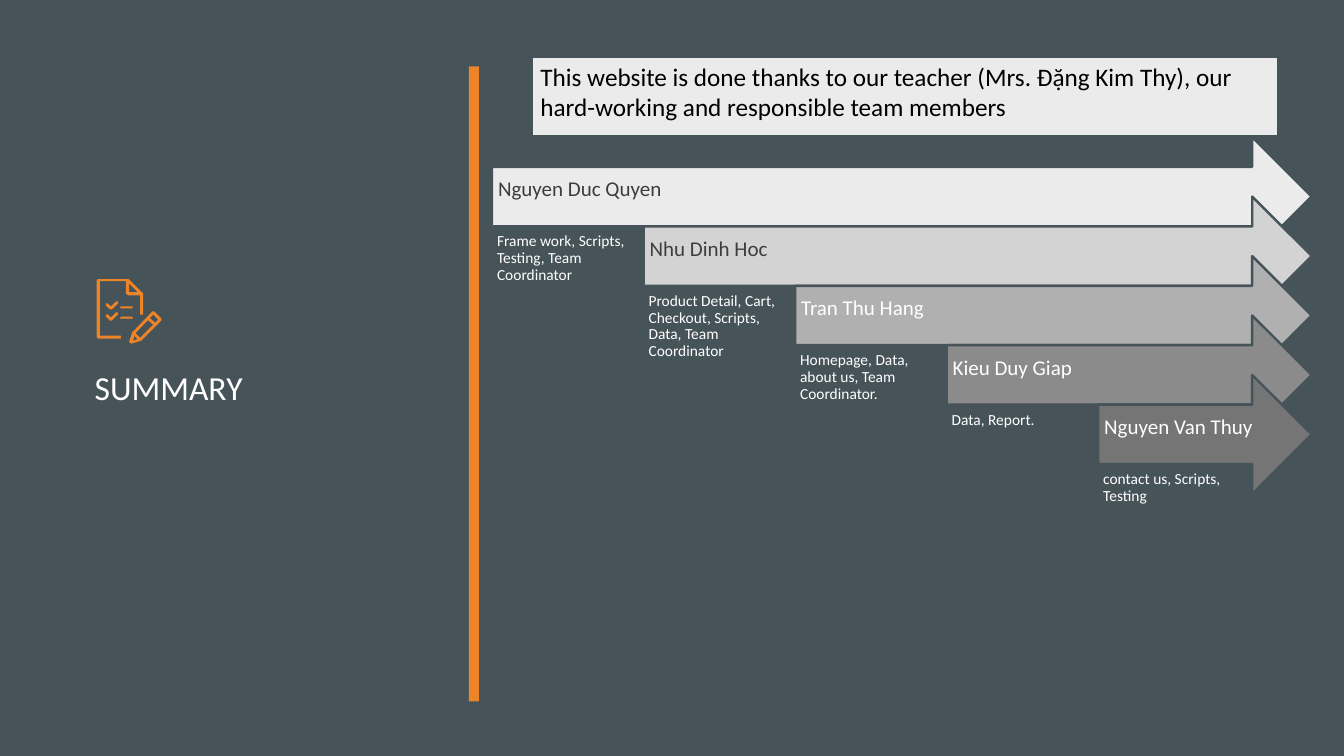
import pptx
import pptx.dml.color
import pptx.enum.shapes
import pptx.enum.text
import pptx.util

Inches = pptx.util.Inches
Pt = pptx.util.Pt
SHAPE = pptx.enum.shapes.MSO_SHAPE
ANCHOR = pptx.enum.text.MSO_ANCHOR

COLORS = {
    "slate": "465359", "orange": "ED8428", "pale": "EBEBEB",
    "white": "FFFFFF", "black": "000000", "dark": "3D3D3D",
}
FONT = "Calibri"

# Staircase grid: one column and one row per team member
LEFT, TOP, RIGHT = 4.88, 1.36, 13.01
COL, ROW = 1.503, 0.59

TEAM = [  # name, duties, arrow fill, name colour
    ("Nguyen Duc Quyen", "Frame work, Scripts, Testing, Team Coordinator", "EBEBEB", "dark"),
    ("Nhu Dinh Hoc", "Product Detail, Cart, Checkout, Scripts, Data, Team Coordinator",
     "D3D3D3", "dark"),
    ("Tran Thu Hang", "Homepage, Data, about us, Team Coordinator.", "B0B0B0", "white"),
    ("Kieu Duy Giap", "Data, Report.", "8B8B8B", "white"),
    ("Nguyen Van Thuy", "contact us, Scripts, Testing", "757575", "white"),
]

# Icon outlines in hundredths of an inch
DASH = [(131, 306), (120, 306), (119, 305), (120, 304), (131, 304), (132, 305)]
TICK = [(110, 307), (109, 307), (105, 303), (105, 301), (107, 301), (110, 304),
        (115, 299), (117, 299), (117, 301), (111, 307)]
PENCIL = [(130, 341), (128, 339), (131, 330), (151, 309), (153, 309), (160, 316),
          (160, 318), (140, 338)]
HOLLOW = [(134, 331), (132, 338), (138, 336), (157, 317), (152, 312)]
BAND = [(153, 323), (146, 317), (148, 315), (155, 321)]
TIP = [(139, 338), (138, 338), (131, 331), (131, 329), (133, 329), (140, 336), (140, 338)]
PAGE = [(120, 336), (97, 336), (96, 334), (96, 278), (97, 277), (127, 277), (128, 277),
        (141, 290), (142, 291), (142, 312), (139, 312), (139, 292), (126, 279),
        (99, 279), (99, 333), (120, 333)]
FOLD = [(140, 293), (127, 293), (125, 291), (125, 278), (127, 277), (128, 278),
        (128, 290), (140, 290), (142, 291), (140, 293)]


def color(key):
    return pptx.dml.color.RGBColor.from_string(COLORS.get(key, key))


def paint(shape, fill, line=None):
    shape.shadow.inherit = False
    shape.fill.solid()
    shape.fill.fore_color.rgb = color(fill)
    if line:
        shape.line.color.rgb = color(line)
        shape.line.width = Pt(1.75)
    else:
        shape.line.fill.background()


def add_block(slide, kind, box, fill, line=None):
    shape = slide.shapes.add_shape(kind, *map(Inches, box))
    paint(shape, fill, line)
    return shape


def write(shape, text, size, ink, inset, anchor=ANCHOR.MIDDLE, pitch=None):
    frame = shape.text_frame
    frame.word_wrap = True
    frame.vertical_anchor = anchor
    (frame.margin_left, frame.margin_top,
     frame.margin_right, frame.margin_bottom) = map(Inches, inset)
    line = frame.paragraphs[0]
    line.text = text
    line.alignment = pptx.enum.text.PP_ALIGN.LEFT
    line.line_spacing = pitch
    line.font.name = FONT
    line.font.size = Pt(size)
    line.font.color.rgb = color(ink)


def add_text(slide, box, *args, **extra):
    write(slide.shapes.add_textbox(*map(Inches, box)), *args, **extra)


def add_step(slide, index, name, duties, fill, ink):
    left, top = LEFT + index * COL, TOP + index * ROW
    width = RIGHT - left
    add_block(slide, SHAPE.RIGHT_ARROW, (left, top, width, 2 * ROW), fill, "slate")
    add_text(slide, (left, top + ROW / 2, width - ROW / 2, ROW),
             name, 15, ink, (0.06, 0.06, 0.25, 0.19), pitch=0.9)
    add_text(slide, (left, top + 1.54 * ROW, COL, 2.17),
             duties, 11, "white", (0.05,) * 4, anchor=ANCHOR.TOP, pitch=0.9)


def add_outline(group, *loops):
    pen = group.shapes.build_freeform(*loops[0][0], scale=Inches(0.01))
    pen.add_line_segments(loops[0][1:])
    for loop in loops[1:]:
        pen.move_to(*loop[0])
        pen.add_line_segments(loop[1:])
    paint(pen.convert_to_shape(), "orange")


def shift(loop, down):
    return [(x, y + down) for x, y in loop]


def add_icon(slide):
    group = slide.shapes.add_group_shape()
    add_outline(group, PENCIL, HOLLOW)
    for loop in (BAND, TIP, DASH, shift(DASH, 10.5), TICK, shift(TICK, 11), PAGE, FOLD):
        add_outline(group, loop)


def main():
    deck = pptx.Presentation()
    deck.slide_width, deck.slide_height = Inches(13.33), Inches(7.5)
    slide = deck.slides.add_slide(deck.slide_layouts[6])

    # Backdrop, divider and title
    slide.background.fill.solid()
    slide.background.fill.fore_color.rgb = color("slate")
    add_block(slide, SHAPE.RECTANGLE, (4.65, 0.66, 0.1, 6.3), "orange")
    add_text(slide, (0.84, 2.9, 3.32, 1.88), "SUMMARY", 24, "white", (0.1, 0.05, 0.1, 0.05))

    # Staircase of team members
    for index, member in enumerate(TEAM):
        add_step(slide, index, *member)

    # Thanks banner
    banner = add_block(slide, SHAPE.RECTANGLE, (5.27, 0.56, 7.41, 0.79), "pale", "slate")
    write(banner, "This website is done thanks to our teacher (Mrs. Đặng Kim Thy), "
          "our hard-working and responsible team members",
          18, "black", (0.09, 0.09, 0.28, 0.19))

    # Checklist icon
    add_icon(slide)
    deck.save("out.pptx")


if __name__ == "__main__":
    main()
